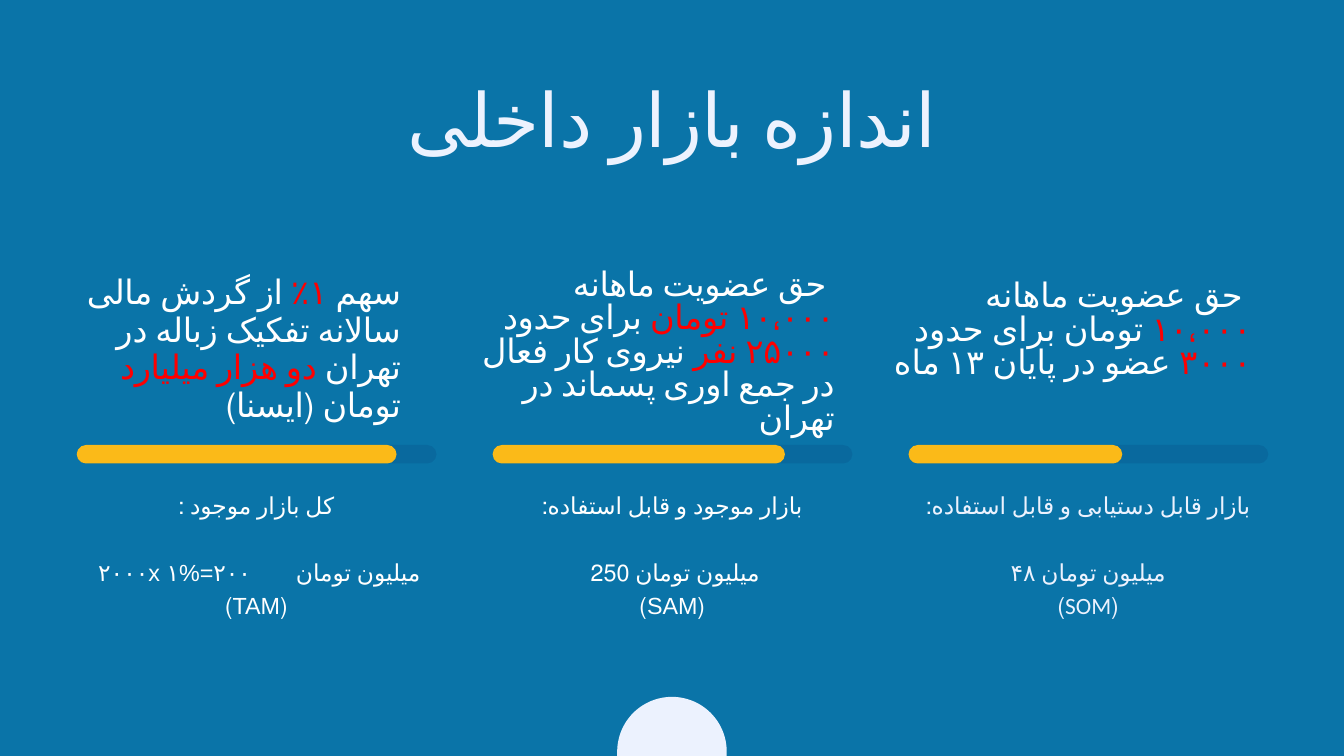
"""Build the domestic market size slide with its TAM, SAM and SOM columns."""
import math
from dataclasses import dataclass

from pptx import Presentation, util as u
from pptx.dml.color import RGBColor
from pptx.enum import lang, shapes, text
from pptx.oxml.ns import qn
from lxml import etree


@dataclass(frozen=True)
class Theme:
    sea: str = "0A74A8"
    ice: str = "ECF2FE"
    white: str = "FFFFFF"
    red: str = "FF0000"
    amber: str = "FBBA18"
    navy: str = "08104D"
    title_size: int = 80
    body_size: int = 36
    caption_size: int = 25


theme = Theme()


def add_text(left, top, width, height, lines, align, spacing, rtl=True):
    """Add a text box; each line is a list of run texts."""
    box = slide.shapes.add_textbox(u.Cm(left), u.Cm(top), u.Cm(width), u.Cm(height))
    frame = box.text_frame
    frame.margin_left = frame.margin_top = frame.margin_right = frame.margin_bottom = 0
    frame.word_wrap = True
    frame.auto_size = text.MSO_AUTO_SIZE.SHAPE_TO_FIT_TEXT
    for index, line in enumerate(lines):
        paragraph = frame.add_paragraph() if index else frame.paragraphs[0]
        paragraph.alignment = align
        paragraph.line_spacing = spacing
        if rtl:
            paragraph._p.get_or_add_pPr().set("rtl", "1")
        for piece in line:
            paragraph.add_run().text = piece
    return frame.paragraphs


def style_run(run, font, size, color, tracking=0):
    """Set the font, size, colour, language and letter spacing of a run."""
    run.font.name = font
    run.font.size = u.Pt(size)
    run.font.color.rgb = RGBColor.from_string(color)
    run.font.language_id = lang.MSO_LANGUAGE_ID.FARSI
    if tracking:
        run._r.get_or_add_rPr().set("spc", str(round(tracking * 100)))


deck = Presentation()
deck.slide_width, deck.slide_height = u.Cm(50.8), u.Cm(28.575)
slide = deck.slides.add_slide(deck.slide_layouts[6])
slide.background.fill.solid()
slide.background.fill.fore_color.rgb = RGBColor.from_string(theme.sea)

radius, center_x, center_y = 2.07, 25.4, 28.41
arc = [
    (u.Cm(center_x - radius * math.cos(math.radians(angle))),
     u.Cm(center_y - radius * math.sin(math.radians(angle))))
    for angle in range(0, 181, 3)
]
outline = slide.shapes.build_freeform(u.Cm(center_x - radius), deck.slide_height)
outline.add_line_segments(arc + [(u.Cm(center_x + radius), deck.slide_height)])
dome = outline.convert_to_shape()
dome.shadow.inherit = False
dome.fill.solid()
dome.fill.fore_color.rgb = RGBColor.from_string(theme.ice)
dome.line.fill.background()

title = add_text(13.59, 3.84, 23.62, 2.29, [["اندازه بازار داخلی"]],
                 text.PP_ALIGN.CENTER, u.Pt(65), rtl=False)
style_run(title[0].runs[0], "Lato", theme.title_size, theme.ice, -0.5)

markets = [
    dict(
        place=(1.52, 10.39, 13.64, 4.32), spacing=0.93, tracking=-0.3, progress=12.09,
        detail=["سهم", " ۱٪", " از گردش مالی سالانه تفکیک زباله در تهران ",
                "دو هزار میلیارد ", "تومان (ایسنا)"],
        caption=[["کل بازار موجود :"], ["میلیون تومان", " ", "۲۰۰۰x ۱%=۲۰۰ "], ["(TAM)"]],
        font="Arial", color=theme.white,
    ),
    dict(
        place=(17.91, 10.19, 13.64, 5.18), spacing=0.83, tracking=-0.3, progress=11.05,
        detail=[" حق عضویت ماهانه ", "۱۰،۰۰۰ تومان ", "برای حدود ", "۲۵۰۰۰ نفر ",
                "نیروی کار فعال در جمع اوری پسماند در تهران"],
        caption=[["بازار موجود و قابل استفاده:"], ["میلیون تومان 250 "], ["(SAM)"]],
        font="Arial", color=theme.white,
    ),
    dict(
        place=(33.66, 10.62, 13.64, 3.89), spacing=0.83, tracking=0, progress=8.08,
        detail=[" حق عضویت ماهانه ", "۱۰،۰۰۰", " تومان برای حدود ", "۳۰۰۰",
                " عضو در پایان ۱۳ ماه "],
        caption=[["بازار قابل دستیابی و قابل استفاده:"], ["میلیون تومان ۴۸"], ["(SOM)"]],
        font="Calibri", color=theme.ice,
    ),
]

first_left, pitch, track_width = 2.9, 15.72, 13.6
line_height, gap_tracking = u.Pt(35.5), 42

for column, market in enumerate(markets):
    left = first_left + column * pitch

    detail = add_text(*market["place"], [market["detail"]],
                      text.PP_ALIGN.RIGHT, market["spacing"])
    for index, run in enumerate(detail[0].runs):
        color = theme.red if index % 2 else theme.white
        style_run(run, "Arial", theme.body_size, color, market["tracking"])

    caption = add_text(left - 0.03, 18.39, 13.64, 5, market["caption"],
                       text.PP_ALIGN.CENTER, line_height)
    caption[1].space_before = line_height
    for paragraph in caption:
        for run in paragraph.runs:
            tracking = gap_tracking if run.text == " " else 0
            style_run(run, market["font"], theme.caption_size, market["color"], tracking)

    for width, color, opacity in ((track_width, theme.navy, 10),
                                  (market["progress"], theme.amber, 100)):
        bar = slide.shapes.add_shape(shapes.MSO_SHAPE.ROUNDED_RECTANGLE,
                                     u.Cm(left), u.Cm(16.82), u.Cm(width), u.Cm(0.7))
        bar.adjustments[0] = 0.5
        bar.shadow.inherit = False
        bar.line.fill.background()
        bar.fill.solid()
        bar.fill.fore_color.rgb = RGBColor.from_string(color)
        if opacity < 100:
            tint = bar._element.spPr.find(qn("a:solidFill"))[0]
            etree.SubElement(tint, qn("a:alpha")).set("val", str(opacity * 1000))

deck.save("out.pptx")
